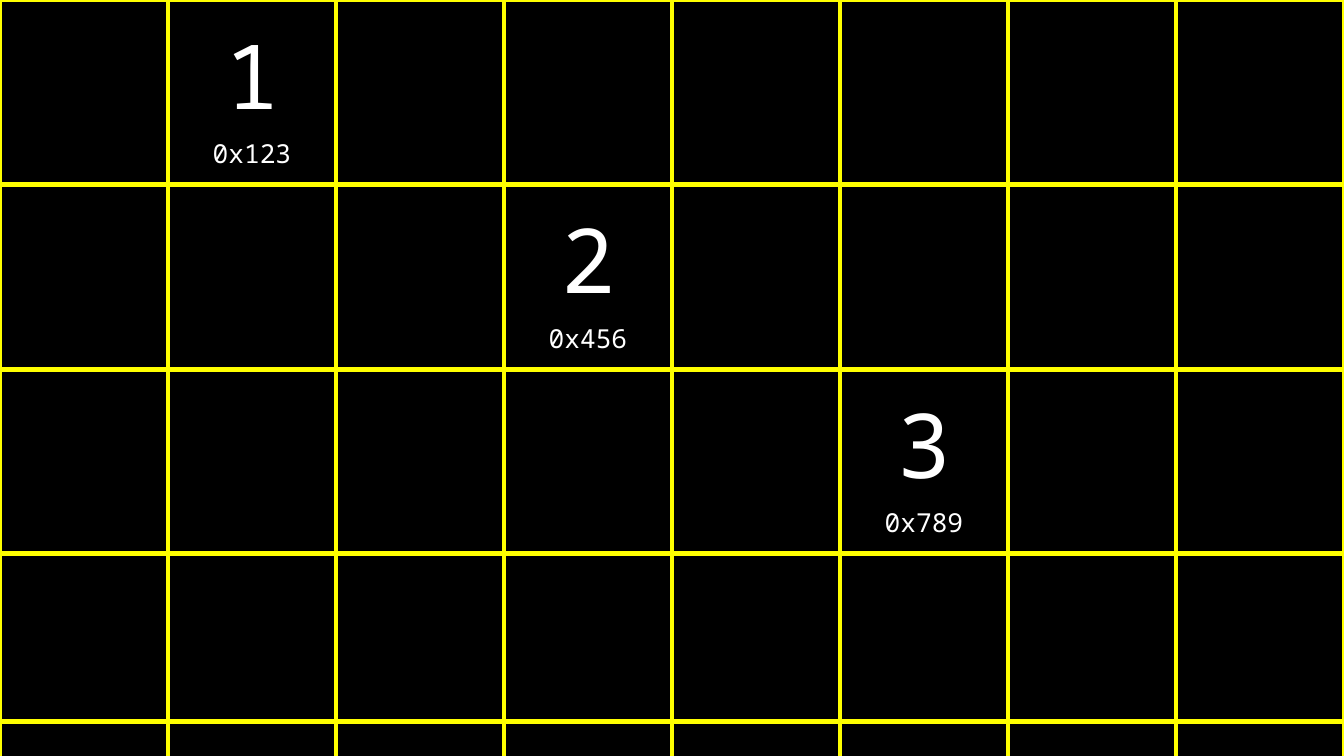
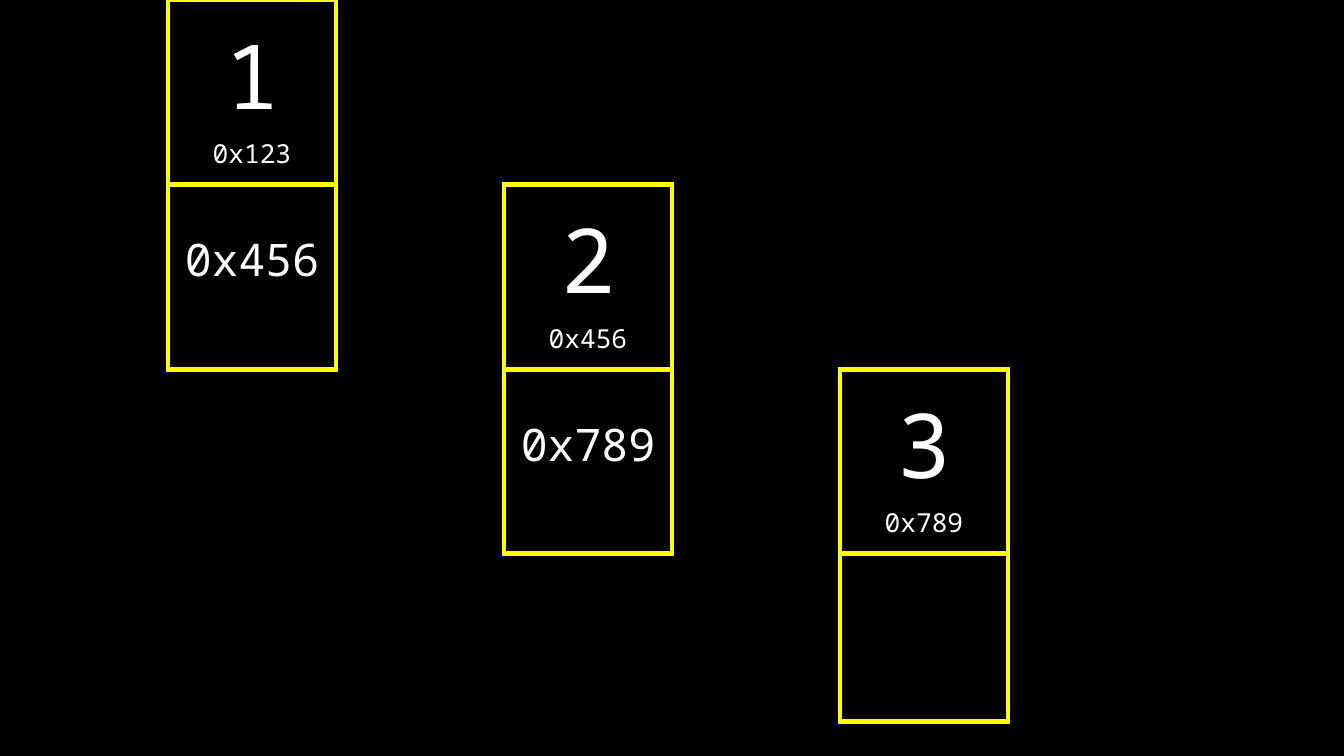
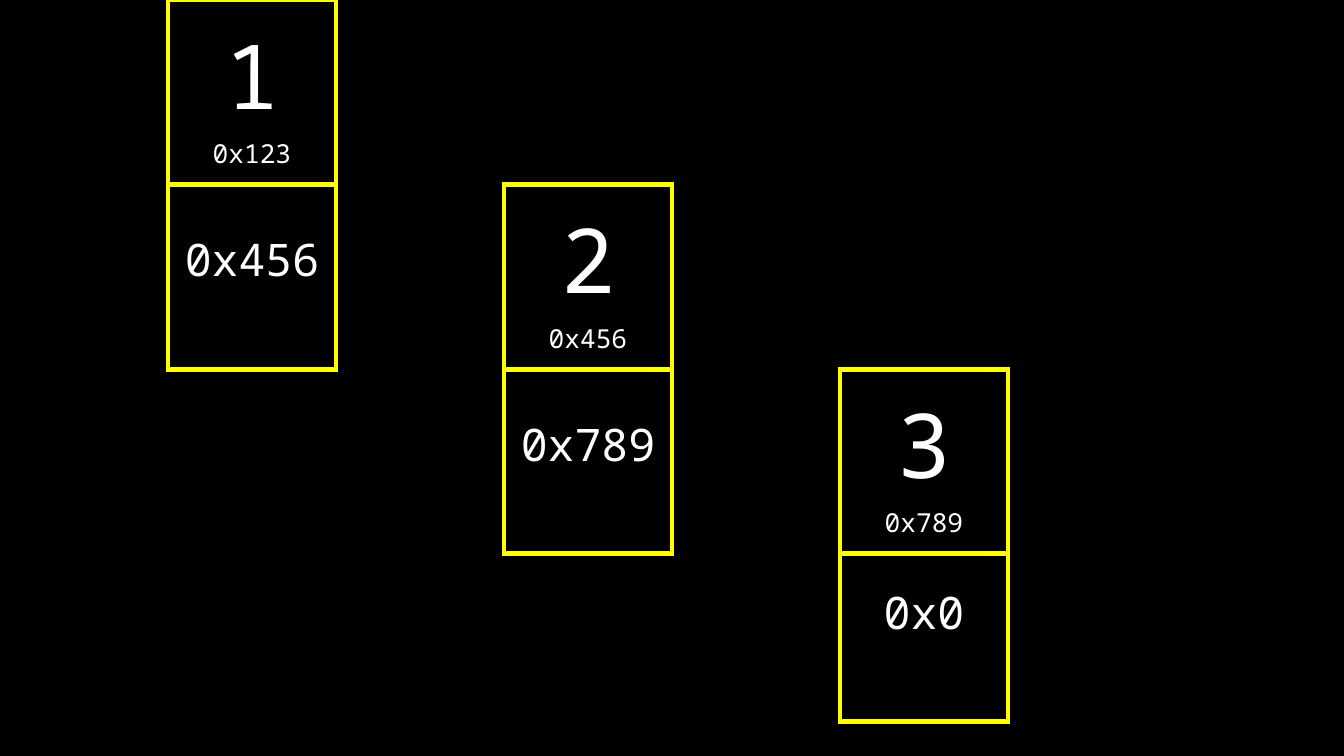
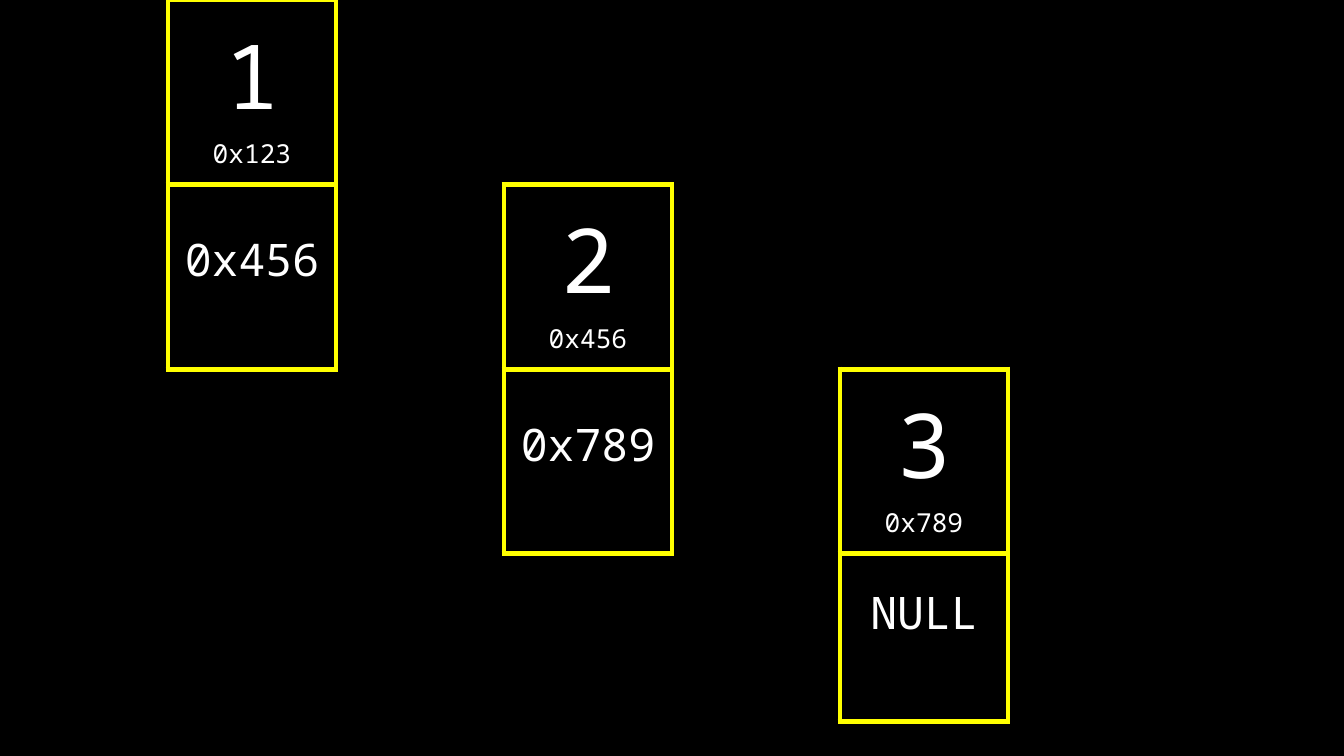
import pptx
import pptx.util
import pptx.dml.color
import pptx.enum.text
import pptx.oxml
import pptx.oxml.ns
import lxml.etree

COLS, ROWS = 8, 5
FACE = "Noto Sans Mono"
BLACK, WHITE, YELLOW = "000000", "FFFFFF", "FFFF00"
PLAIN = "{2D5ABB26-0587-4C30-8999-92F81FD0307C}"
SIDES = {"lnL": (0, -1), "lnR": (0, 1), "lnT": (-1, 0), "lnB": (1, 0)}
MIDDLE = pptx.enum.text.MSO_ANCHOR.MIDDLE
BOTTOM = pptx.enum.text.MSO_ANCHOR.BOTTOM
CENTER = pptx.enum.text.PP_ALIGN.CENTER
INSET = pptx.util.Inches(0.1)
LIFT = pptx.util.Inches(0.59)
PAD = {"margin_left": INSET, "margin_right": INSET, "margin_top": INSET}
NODE = {**PAD, "margin_bottom": INSET, "vertical_anchor": MIDDLE}
LINK = {**PAD, "margin_bottom": LIFT, "vertical_anchor": BOTTOM}
BARE = {"first_row": False, "horz_banding": False}


def format(thing, values):
    for name, value in values.items():
        setattr(thing, name, value)


def paint(fill, color):
    fill.solid()
    fill.fore_color.rgb = pptx.dml.color.RGBColor.from_string(color)


def add(parent, tag, **values):
    return lxml.etree.SubElement(parent, pptx.oxml.ns.qn("a:" + tag), **values)


def rule(cell, side, shown):
    line = add(cell._tc.get_or_add_tcPr(), side, w=str(pptx.util.Pt(3)))
    if shown:
        add(add(line, "solidFill"), "srgbClr", val=YELLOW)
        add(line, "prstDash", val="solid")
    else:
        add(line, "noFill")


def write(cell, lines, style):
    format(cell, style)
    frame = cell.text_frame
    for spot, (text, size) in enumerate(lines):
        para = frame.add_paragraph() if spot else frame.paragraphs[0]
        para.alignment = CENTER
        run = para.add_run()
        run.text = text
        format(run.font, {"size": pptx.util.Pt(size), "name": FACE})
        paint(run.font.fill, WHITE)


def draw_grid(slide, box, boxed):
    table = slide.shapes.add_table(ROWS, COLS, *box).table
    format(table, BARE)
    table._tbl.tblPr.find(pptx.oxml.ns.qn("a:tableStyleId")).text = PLAIN
    for row in range(ROWS):
        for col in range(COLS):
            cell = table.cell(row, col)
            for side, (down, right) in SIDES.items():
                edge = {(row, col), (row + down, col + right)}
                rule(cell, side, bool(boxed & edge))
            cell.fill.background()
    return table


def draw_list(deck, nodes, links, boxed):
    slide = deck.slides.add_slide(deck.slide_layouts[6])
    unit = deck.slide_width // COLS
    table = draw_grid(slide, (0, 0, unit * COLS, unit * ROWS), boxed)
    for (row, col), (value, place) in nodes.items():
        write(table.cell(row, col), [(value, 48), (place, 14)], NODE)
    for (row, col), link in zip(nodes, links):
        if link:
            write(table.cell(row + 1, col), [(link, 24)], LINK)


deck = pptx.Presentation()
deck.slide_width = pptx.util.Inches(10)
deck.slide_height = deck.slide_width * 9 // 16
paint(deck.slide_master.background.fill, BLACK)

places = ["0x123", "0x456", "0x789"]
nodes = {(spot, 2 * spot + 1): (str(spot + 1), place)
         for spot, place in enumerate(places)}
whole = {(row, col) for row in range(ROWS) for col in range(COLS)}
pairs = {(row + step, col) for row, col in nodes for step in (0, 1)}

draw_list(deck, nodes, [], whole)
for last in ("", "0x0", "NULL"):
    draw_list(deck, nodes, places[1:] + [last], pairs)

deck.save("out.pptx")
